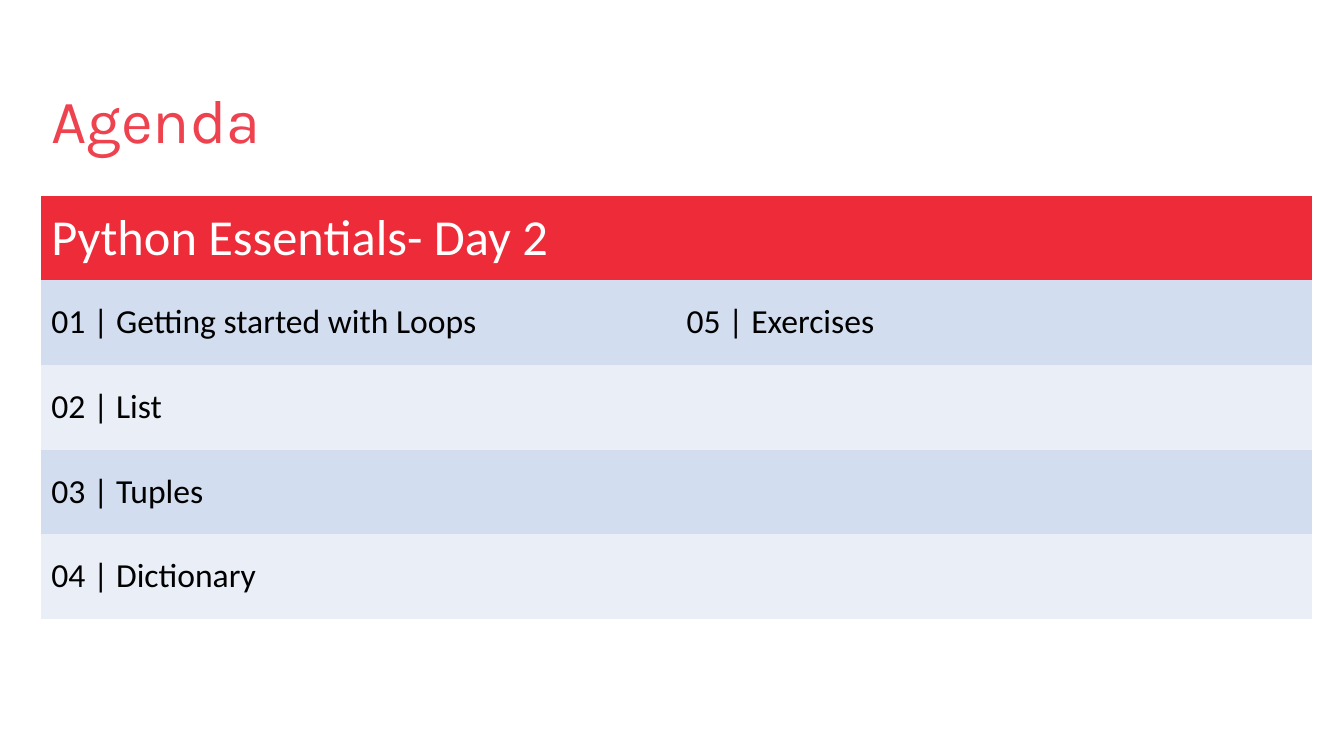
import pptx
import pptx.util
import pptx.dml.color
import pptx.enum.text

Inches = pptx.util.Inches
RGBColor = pptx.dml.color.RGBColor
ANCHOR = pptx.enum.text.MSO_ANCHOR

TITLE_RED = RGBColor(0xEF, 0x42, 0x4F)
HEADER_RED = RGBColor(0xEE, 0x2B, 0x39)
BAND_DARK = RGBColor(0xD2, 0xDE, 0xEF)
BAND_LIGHT = RGBColor(0xEA, 0xEF, 0xF7)
WHITE = RGBColor(0xFF, 0xFF, 0xFF)
BLACK = RGBColor(0, 0, 0)

TITLE_FORMAT = {"name": "Karla", "size": pptx.util.Pt(44)}
HEADER_FORMAT = {"name": "Calibri", "size": pptx.util.Pt(36), "bold": False}
TOPIC_FORMAT = {"name": "Calibri", "size": pptx.util.Pt(24), "bold": False}

HEADER = "Python Essentials- Day 2"
TOPICS = [
    ("01 | Getting started with Loops", "05 | Exercises"),
    ("02 | List", ""),
    ("03 | Tuples", ""),
    ("04 | Dictionary", ""),
]


def write_text(paragraph, text, font_format, color):
    run = paragraph.add_run()
    run.text = text
    for name, value in font_format.items():
        setattr(run.font, name, value)
    run.font.color.rgb = color


def add_title(slide, left, top, width, height):
    shape = slide.shapes.add_textbox(left, top, width, height)
    frame = shape.text_frame
    frame.word_wrap = True
    frame.vertical_anchor = ANCHOR.BOTTOM
    write_text(frame.paragraphs[0], "Agenda", TITLE_FORMAT, TITLE_RED)


def fill_cell(cell, text, fill_color, font_format, font_color):
    cell.fill.solid()
    cell.fill.fore_color.rgb = fill_color
    cell.vertical_anchor = ANCHOR.MIDDLE
    if text:
        write_text(cell.text_frame.paragraphs[0], text, font_format, font_color)


def add_agenda_table(slide, left, top, width, height):
    shape = slide.shapes.add_table(len(TOPICS) + 1, 2, left, top, width, height)
    table = shape.table
    style_id = table._tbl.tblPr.find(pptx.oxml.ns.qn("a:tableStyleId"))
    style_id.text = "{2D5ABB26-0587-4C30-8999-92F81FD0307C}"
    table.cell(0, 0).merge(table.cell(0, 1))
    fill_cell(table.cell(0, 0), HEADER, HEADER_RED, HEADER_FORMAT, WHITE)
    for row, topics in enumerate(TOPICS, start=1):
        band = BAND_DARK if row % 2 else BAND_LIGHT
        for column, topic in enumerate(topics):
            fill_cell(table.cell(row, column), topic, band, TOPIC_FORMAT, BLACK)


def build_agenda_slide(presentation):
    slide = presentation.slides.add_slide(presentation.slide_layouts[6])
    left, width = Inches(0.41), Inches(12.6)
    add_agenda_table(slide, left, Inches(1.94), width, Inches(4.2))
    add_title(slide, left, Inches(0.2), width, Inches(1.4))


presentation = pptx.Presentation()
presentation.slide_width = Inches(13.33)
presentation.slide_height = Inches(7.5)
build_agenda_slide(presentation)
presentation.save("out.pptx")
